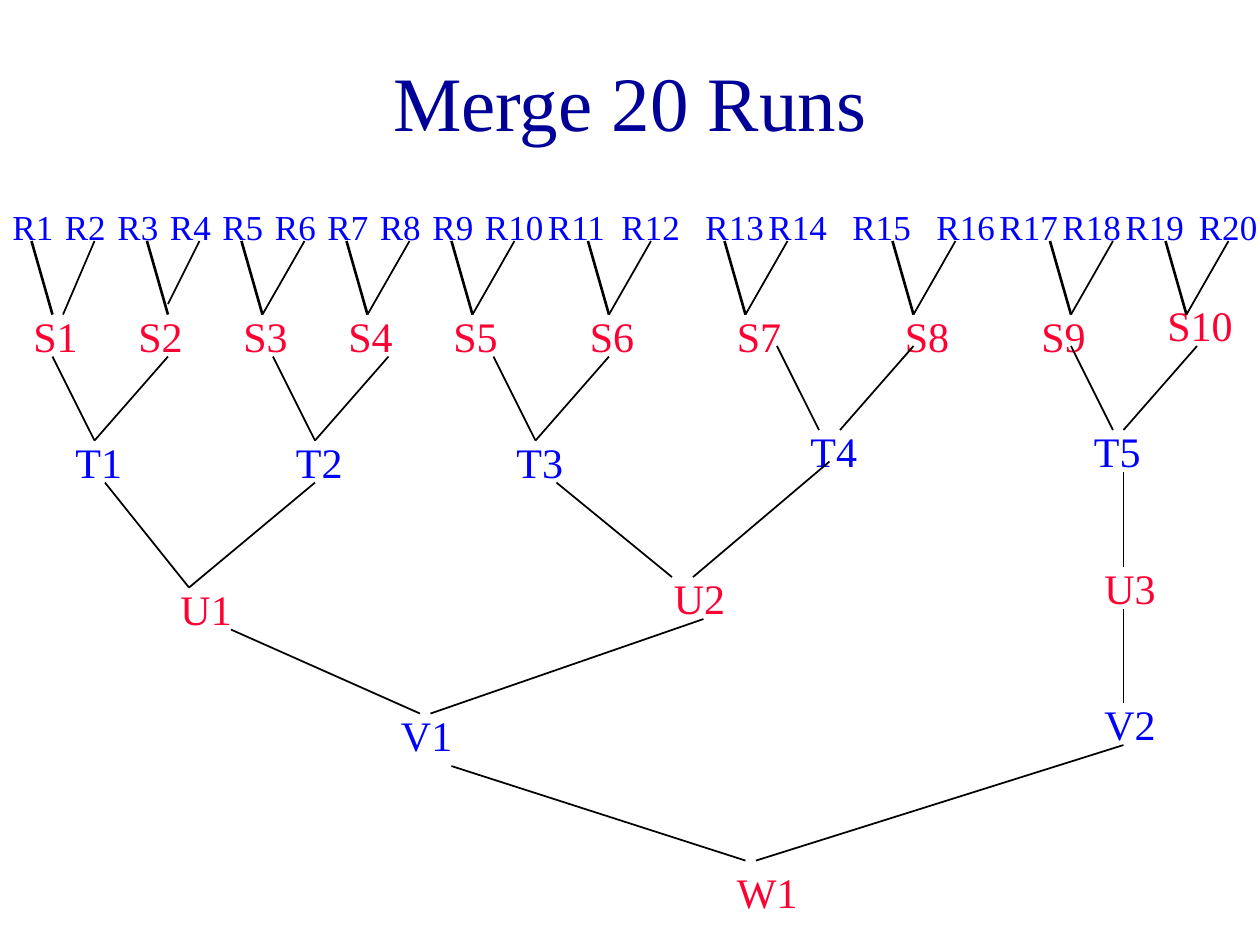
from lxml import etree
from pptx import Presentation
from pptx.dml.color import RGBColor
from pptx.enum.shapes import MSO_CONNECTOR
from pptx.enum.text import MSO_ANCHOR, PP_ALIGN
from pptx.oxml.ns import qn
from pptx.util import Inches, Pt

FONT = "Times New Roman"
NAVY, BLUE, RED, BLACK = "000099", "0000FF", "FF0033", "000000"


def color(hex_string):
    return RGBColor.from_string(hex_string)


def grid(steps):
    """Length of a number of grid steps, twelve to the inch."""
    return Inches(steps / 12)


def add_text(shapes, text, box, size, hex_string):
    shape = shapes.add_textbox(*box)
    frame = shape.text_frame
    frame.word_wrap = True
    paragraph = frame.paragraphs[0]
    paragraph.text = text
    paragraph.font.name = FONT
    paragraph.font.size = Pt(size)
    paragraph.font.color.rgb = color(hex_string)
    return shape


def add_title(slide, text, box):
    frame = add_text(slide.shapes, text, box, 44, NAVY).text_frame
    frame.vertical_anchor = MSO_ANCHOR.MIDDLE
    frame.paragraphs[0].alignment = PP_ALIGN.CENTER


def add_labels(slide, origin, letter, places, hex_string, size=24, width=8):
    """Number one level of runs; places are (column, row) grid steps."""
    left, top = origin
    shapes = slide.shapes.add_group_shape().shapes
    height = Inches(0.44 if size == 20 else 0.5)
    for number, (column, row) in enumerate(places, 1):
        box = (left + grid(column), top + grid(row), grid(width), height)
        add_text(shapes, f"{letter}{number}", box, size, hex_string)


def add_branches(slide, origin, branches, weight=1):
    """Draw lines given as (start column, start row, end column, end row)."""
    left, top = origin
    shapes = slide.shapes.add_group_shape().shapes
    for x1, y1, x2, y2 in branches:
        line = shapes.add_connector(
            MSO_CONNECTOR.STRAIGHT,
            left + grid(x1), top + grid(y1), left + grid(x2), top + grid(y2),
        )
        line.line.color.rgb = color(BLACK)
        line.line.width = Pt(weight)
        etree.SubElement(line._element.spPr, qn("a:effectLst"))


def add_merge_tree(slide, left, top):
    origin = (left, top)

    # Twenty initial runs
    run_columns = [5 * i for i in range(10)] + [
        51, 58, 66, 72, 80, 88, 94, 100, 106, 113]
    add_labels(slide, origin, "R", [(x, 0) for x in run_columns], BLUE, size=20)

    # First merge: pairs of R into S
    s_places = [(x, 10) for x in (2, 12, 22, 32, 42, 55, 69, 85, 98)] + [(110, 9)]
    add_labels(slide, origin, "S", s_places, RED, width=10)
    joints = [5, 16, 25, 35, 45, 58, 71, 87, 102, 113]
    add_branches(slide, origin, [(x - 2, 4, x, 11) for x in joints], weight=1.5)
    add_branches(slide, origin, [(9, 4, 6, 11), (19, 4, 16, 10)]
                 + [(x + 4, 4, x, 11) for x in joints[2:]])

    # Second merge: pairs of S into T
    add_labels(slide, origin, "T",
               [(6, 22), (27, 22), (48, 22), (76, 21), (103, 21)], BLUE)
    # Start column, start row, and gap between the two line ends
    forks = [(5, 15, 0), (26, 15, 0), (47, 15, 0), (74, 14, 2), (102, 14, 1)]
    add_branches(slide, origin, [(x, y, x + 4, y + 8) for x, y, _ in forks])
    add_branches(slide, origin, [(x + 11 + gap, y, x + 4 + gap, y + 8)
                                 for x, y, gap in forks])

    # Third merge: T into U
    add_labels(slide, origin, "U", [(16, 36), (63, 35), (104, 34)], RED)
    add_branches(slide, origin, [
        (10, 27, 18, 37), (53, 27, 64, 36), (30, 27, 18, 37),
        (79, 25, 66, 36), (107, 26, 107, 35)])

    # Fourth merge: U into V
    add_labels(slide, origin, "V", [(37, 48), (104, 47)], BLUE, width=9)
    add_branches(slide, origin, [
        (22, 41, 40, 49), (67, 40, 41, 49), (107, 39, 107, 48)])

    # Final merge: V into W
    add_labels(slide, origin, "W", [(69, 63)], RED, width=9)
    add_branches(slide, origin, [(43, 54, 71, 63), (107, 52, 72, 63)])


def main():
    presentation = Presentation()
    presentation.slide_width = Inches(10)
    presentation.slide_height = Inches(7.5)
    slide = presentation.slides.add_slide(presentation.slide_layouts[6])
    add_title(slide, "Merge 20 Runs",
              (Inches(0.75), Inches(0.17), Inches(8.5), Inches(1.25)))
    add_merge_tree(slide, Inches(0), Inches(1.58))
    presentation.save("out.pptx")


if __name__ == "__main__":
    main()
